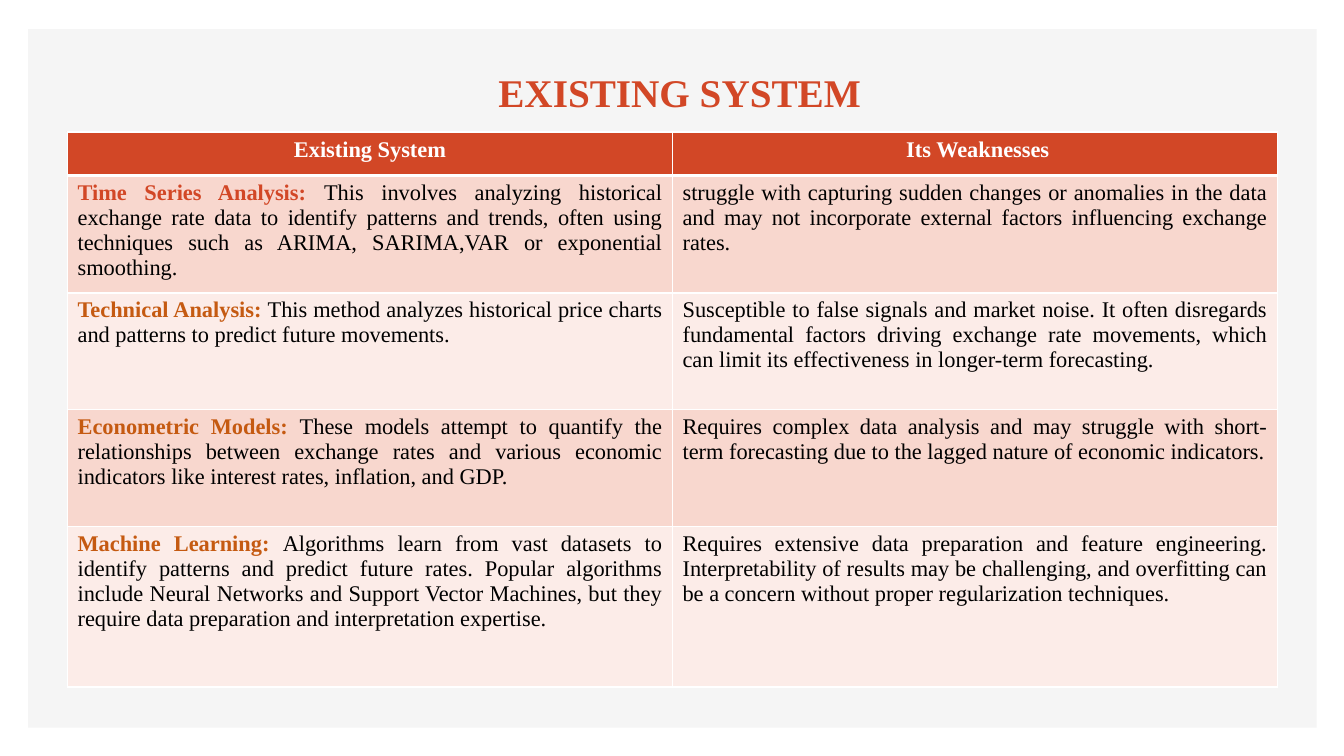
from lxml import etree
from pptx import Presentation
from pptx import util as u
from pptx.dml.color import RGBColor
from pptx.enum import shapes, text
from pptx.oxml import ns

PX = 9144  # EMU per px, 100 px to the inch
FONT = "Times New Roman"
COLORS = {
    "panel": "F5F5F5", "accent": "D24726", "term": "C55A11", "body": "000000",
    "white": "FFFFFF", "band_dark": "F8D7CE", "band_light": "FCECE8",
}
HEADINGS = ("Existing System", " Its Weaknesses")
ROW_HEIGHTS = (43, 116, 116, 116, 159)
# Term, term colour, description, weakness
METHODS = (
    ("Time Series Analysis: ", "accent",
     "This involves analyzing historical exchange rate data to identify patterns and trends, "
     "often using techniques such as ARIMA, SARIMA,VAR or exponential smoothing.",
     "struggle with capturing sudden changes or anomalies in the data and may not "
     "incorporate external factors influencing exchange rates."),
    ("Technical Analysis: ", "term",
     "This method analyzes historical price charts and patterns to predict future movements. ",
     "Susceptible to false signals and market noise. It often disregards fundamental factors "
     "driving exchange rate movements, which can limit its effectiveness in longer-term "
     "forecasting."),
    ("Econometric Models: ", "term",
     "These models attempt to quantify the relationships between exchange rates and various "
     "economic indicators like interest rates, inflation, and GDP. ",
     "Requires complex data analysis and may struggle with short-term forecasting due to the "
     "lagged nature of economic indicators."),
    ("Machine Learning: ", "term",
     "Algorithms learn from vast datasets to identify patterns and predict future rates. "
     "Popular algorithms include Neural Networks and Support Vector Machines, but they "
     "require data preparation and interpretation expertise.",
     "Requires extensive data preparation and feature engineering. Interpretability of results "
     "may be challenging, and overfitting can be a concern without proper regularization "
     "techniques."),
)


def px(*lengths):
    return [u.Emu(length * PX) for length in lengths]


def color(name):
    return RGBColor.from_string(COLORS[name])


def write(paragraph, parts, size, alignment):
    """Fill a paragraph with (text, colour, bold) parts."""
    paragraph.alignment = alignment
    for words, color_name, bold in parts:
        run = paragraph.add_run()
        run.text = words
        run.font.name = FONT
        run.font.size = u.Pt(size)
        run.font.bold = bold
        run.font.color.rgb = color(color_name)


def set_borders(cell, bottom_width):
    properties = cell._tc.get_or_add_tcPr()
    widths = {"a:lnL": 1, "a:lnR": 1, "a:lnT": 1, "a:lnB": bottom_width}
    for position, (tag, width) in enumerate(widths.items()):
        line = etree.Element(ns.qn(tag), w=str(u.Pt(width)))
        fill = etree.SubElement(line, ns.qn("a:solidFill"))
        etree.SubElement(fill, ns.qn("a:srgbClr"), val=COLORS["white"])
        properties.insert(position, line)


def add_panel(slide, left, top, width, height):
    # Grey backdrop
    panel = slide.shapes.add_shape(shapes.MSO_SHAPE.RECTANGLE, *px(left, top, width, height))
    panel.shadow.inherit = False
    panel.fill.solid()
    panel.fill.fore_color.rgb = color("panel")
    panel.line.fill.background()

    # Rule under the title
    rule_y = top + 102
    rule = slide.shapes.add_connector(
        shapes.MSO_CONNECTOR.STRAIGHT, *px(left + 38, rule_y, left + width - 39, rule_y))
    rule.line.color.rgb = color("accent")
    rule.line.width = u.Pt(2)
    etree.SubElement(rule._element.spPr, ns.qn("a:effectLst"))


def add_title(slide, left, top, width, height):
    frame = slide.shapes.add_textbox(*px(left, top, width, height)).text_frame
    frame.word_wrap = True
    frame.vertical_anchor = text.MSO_ANCHOR.BOTTOM
    write(frame.paragraphs[0], [("EXISTING SYSTEM", "accent", True)], 28, text.PP_ALIGN.CENTER)


def add_comparison(slide, left, top, width, height):
    table = slide.shapes.add_table(
        len(ROW_HEIGHTS), len(HEADINGS), *px(left, top, width, height)).table
    for column in table.columns:
        column.width = px(width // len(HEADINGS))[0]
    for row, row_height in zip(table.rows, ROW_HEIGHTS):
        row.height = px(row_height)[0]

    # Each row is a list of cells, each cell a list of text parts
    rows = [[[(heading, "white", True)] for heading in HEADINGS]]
    for term, term_color, description, weakness in METHODS:
        rows.append([[(term, term_color, True), (description, "body", False)],
                     [(weakness, "body", False)]])

    for row_index, cells in enumerate(rows):
        is_header = row_index == 0
        band = "accent" if is_header else ("band_light", "band_dark")[row_index % 2]
        alignment = text.PP_ALIGN.CENTER if is_header else text.PP_ALIGN.JUSTIFY
        for column_index, parts in enumerate(cells):
            cell = table.cell(row_index, column_index)
            cell.fill.solid()
            cell.fill.fore_color.rgb = color(band)
            set_borders(cell, 3 if is_header else 1)
            write(cell.text_frame.paragraphs[0], parts, 16, alignment)


def main():
    presentation = Presentation()
    presentation.slide_width, presentation.slide_height = px(1333, 750)
    slide = presentation.slides.add_slide(presentation.slide_layouts[6])
    add_panel(slide, 28, 29, 1278, 693)
    add_title(slide, 74, 49, 1200, 70)
    add_comparison(slide, 67, 131, 1200, sum(ROW_HEIGHTS))
    presentation.save("out.pptx")


if __name__ == "__main__":
    main()
